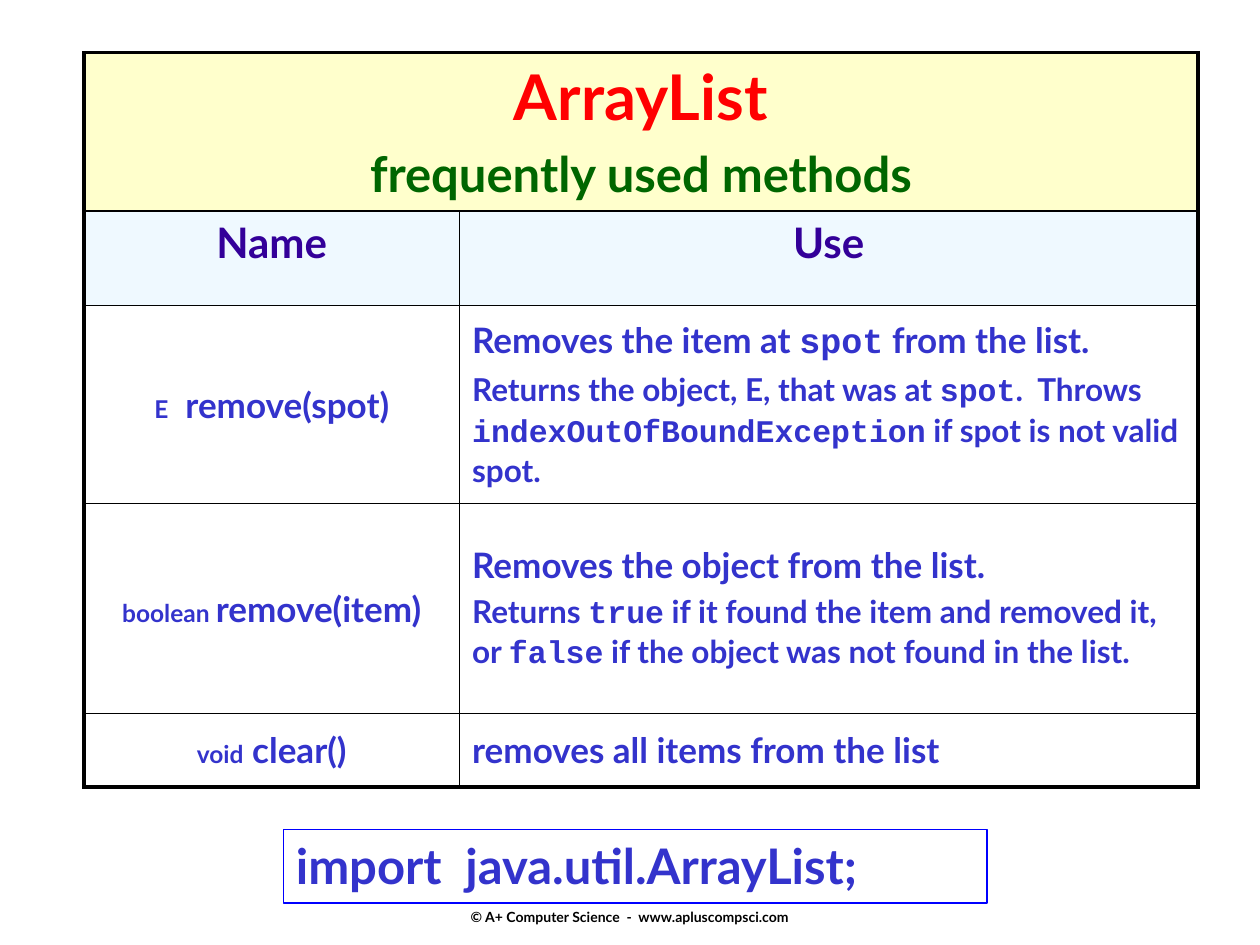
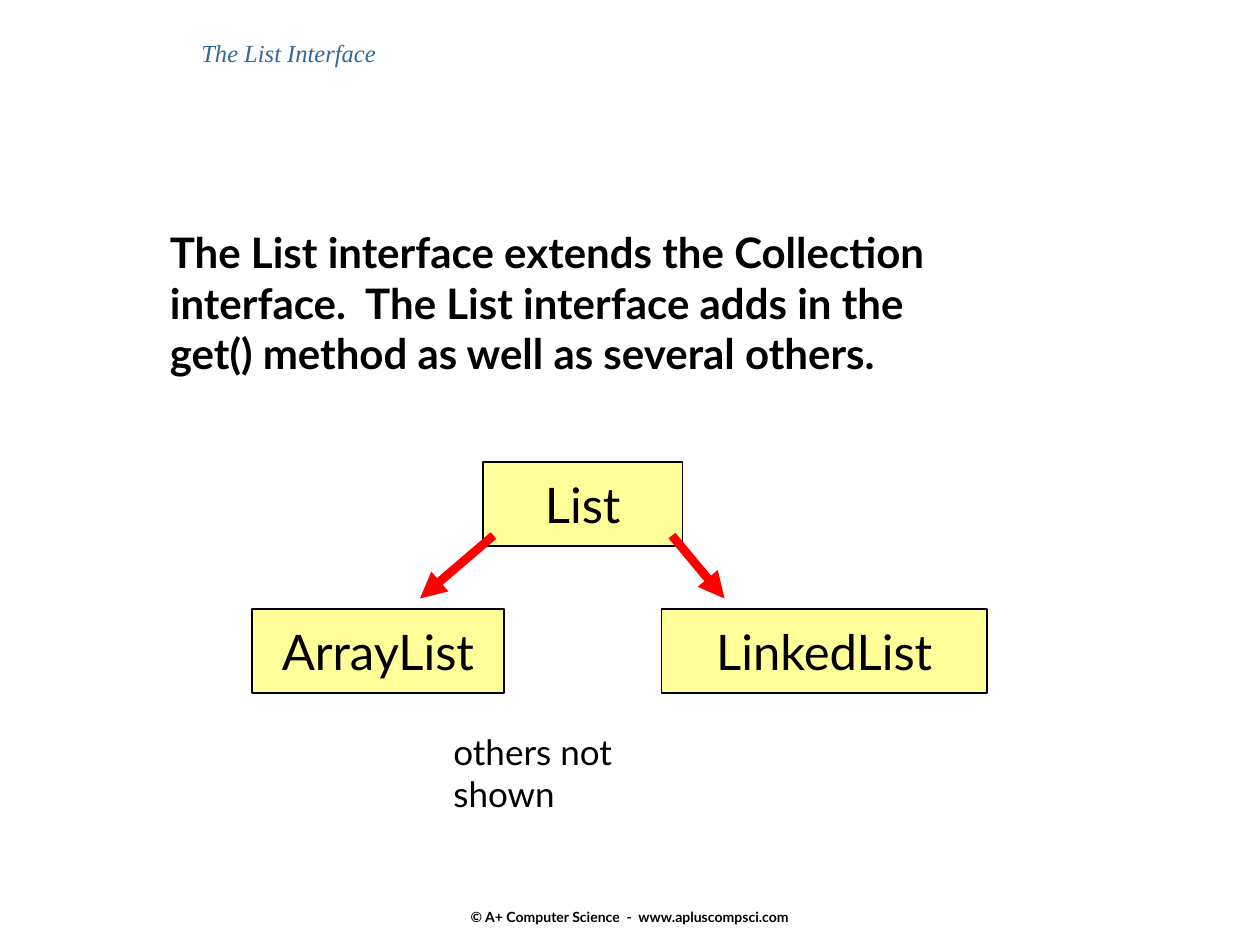
from dataclasses import dataclass, field
from lxml.etree import SubElement
from pptx import Presentation
from pptx.dml.color import RGBColor
from pptx.enum.shapes import MSO_CONNECTOR, MSO_SHAPE
from pptx.enum.text import MSO_ANCHOR, PP_ALIGN
from pptx.oxml.ns import qn
from pptx.util import Pt


def style(size, color, name="Lato", **more):
    return dict(size=Pt(size), color=color, name=name, **more)


@dataclass
class Theme:
    ink: str = "000000"
    arrow: str = "FF0000"
    box: str = "FFFF99"
    frame: str = "0000FF"
    banner: str = "FFFFCC"
    header: str = "E1F4FF"
    outer: float = 2.25
    inner: float = 1
    text: dict = field(default_factory=lambda: {
        "footer": style(8, "000000", bold=True),
        "title": style(14, "336699", "Times New Roman", italic=True),
        "body": style(24, "000000", bold=True),
        "node": style(28, "000000"),
        "note": style(20, "000000"),
        "import": style(28, "3333CC", bold=True),
        "banner": style(36, "FF0000", bold=True),
        "subtitle": style(28, "006600", bold=True),
        "heading": style(24, "330099", bold=True),
        "type": style(14, "3333CC", bold=True),
        "method": style(20, "3333CC", bold=True),
        "method code": style(20, "3333CC", "Courier New", bold=True),
        "detail": style(18, "3333CC", bold=True),
        "detail code": style(18, "3333CC", "Courier New", bold=True),
    })


THEME = Theme()
SIDES = {"L": "a:lnL", "R": "a:lnR", "T": "a:lnT", "B": "a:lnB"}

# A paragraph is a list of (text, style) spans.
FOOTER = [[("© A+ Computer Science  -  www.apluscompsci.com", "footer")]]
BANNER = [[("ArrayList", "banner")], [("frequently used methods", "subtitle")]]
HEADINGS = ["Name", "Use"]
METHODS = [
    ([("E", "type"), ("  remove(spot)", "method")],
     [[("Removes the item at ", "method"), ("spot", "method code"),
       (" from the list.", "method")],
      [("Returns the object, E, that was at ", "detail"), ("spot", "detail code"),
       (".  Throws ", "detail"), ("indexOutOfBoundException", "detail code"),
       (" if spot is not valid spot.", "detail")]]),
    ([("boolean ", "type"), ("remove(item)", "method")],
     [[("Removes the object from the list.", "method")],
      [("Returns ", "detail"), ("true", "detail code"),
       (" if it found the item and removed it, or ", "detail"),
       ("false", "detail code"),
       (" if the object was not found in the list.", "detail")]]),
    ([("void", "type"), (" clear()", "method")],
     [[("removes all items from the list", "method")]]),
]
COLUMN_WIDTHS = [214.6, 421.9]
ROW_HEIGHTS = [90.5, 54, 113.3, 120, 42]
IMPORT = [[("import  java.util.ArrayList;", "import")]]

TITLE = [[("The List Interface", "title")]]
SUMMARY = [[(line, "body")] for line in (
    "The List interface extends the Collection",
    "interface.  The List interface adds in the",
    "get() method as well as several others.")]
NODE_HEIGHT = 48
NODES = [("List", 276, 264, 114), ("ArrayList", 144, 348, 144),
         ("LinkedList", 378, 348, 186)]
ARROW_TOP, ARROW_BOTTOM = 306, 342
ARROWS = [(282, 240), (384, 414)]
NOTE = [[("others not shown", "note")]]


def write(frame, paragraphs, align=PP_ALIGN.LEFT, gap=0):
    for index, spans in enumerate(paragraphs):
        para = frame.add_paragraph() if index else frame.paragraphs[0]
        para.alignment = align
        if index and gap:
            para.space_before = Pt(gap)
        for text, kind in spans:
            span = para.add_run()
            span.text = text
            for key, value in THEME.text[kind].items():
                if key == "color":
                    span.font.color.rgb = RGBColor.from_string(value)
                else:
                    setattr(span.font, key, value)


def add_text(page, at, paragraphs, align=PP_ALIGN.LEFT, anchor=MSO_ANCHOR.TOP):
    frame = page.shapes.add_textbox(*map(Pt, at)).text_frame
    frame.word_wrap = True
    frame.vertical_anchor = anchor
    write(frame, paragraphs, align)


def add_box(page, at, paragraphs, line, width, fill=None,
            align=PP_ALIGN.CENTER, anchor=MSO_ANCHOR.MIDDLE):
    box = page.shapes.add_shape(MSO_SHAPE.RECTANGLE, *map(Pt, at))
    box.shadow.inherit = False
    paint(box.fill, fill)
    box.line.color.rgb = RGBColor.from_string(line)
    box.line.width = Pt(width)
    box.text_frame.vertical_anchor = anchor
    write(box.text_frame, paragraphs, align)


def paint(fill, color):
    if color:
        fill.solid()
        fill.fore_color.rgb = RGBColor.from_string(color)
    else:
        fill.background()


def add_arrow(page, start, end):
    arrow = page.shapes.add_connector(MSO_CONNECTOR.STRAIGHT, *map(Pt, start + end))
    arrow.line.color.rgb = RGBColor.from_string(THEME.arrow)
    arrow.line.width = Pt(5)
    SubElement(arrow.line._get_or_add_ln(), qn("a:tailEnd"), type="triangle")
    SubElement(arrow._element.spPr, qn("a:effectLst"))


def add_borders(cell, outer_sides):
    properties = cell._tc.get_or_add_tcPr()
    for side, tag in SIDES.items():
        width = THEME.outer if side in outer_sides else THEME.inner
        line = SubElement(properties, qn(tag), w=str(int(Pt(width))))
        solid = SubElement(line, qn("a:solidFill"))
        SubElement(solid, qn("a:srgbClr"), val=THEME.ink)


def set_opacity(cell, percent):
    color = cell._tc.tcPr.find(qn("a:solidFill")).find(qn("a:srgbClr"))
    SubElement(color, qn("a:alpha"), val=str(percent * 1000))


def add_method_table(page):
    size = sum(COLUMN_WIDTHS), sum(ROW_HEIGHTS)
    shape = page.shapes.add_table(len(ROW_HEIGHTS), len(COLUMN_WIDTHS),
                                  *map(Pt, (48, 30) + size))
    table = shape.table
    table.first_row = table.horz_banding = False
    for column, width in zip(table.columns, COLUMN_WIDTHS):
        column.width = Pt(width)
    for row, height in zip(table.rows, ROW_HEIGHTS):
        row.height = Pt(height)
    table.cell(0, 0).merge(table.cell(0, 1))

    headings = [[[(text, "heading")]] for text in HEADINGS]
    content = [[BANNER], headings] + [[[name], use] for name, use in METHODS]
    last_row = len(content) - 1
    for r, cells in enumerate(content):
        for c, paragraphs in enumerate(cells):
            cell = table.cell(r, c)
            outer = {"T": r == 0, "B": r == last_row, "L": c == 0,
                     "R": c == len(cells) - 1}
            add_borders(cell, [side for side in outer if outer[side]])
            paint(cell.fill, {0: THEME.banner, 1: THEME.header}.get(r))
            if r == 1:
                set_opacity(cell, 50)
            is_use = r > 1 and c == 1
            cell.vertical_anchor = MSO_ANCHOR.MIDDLE if r > 1 else MSO_ANCHOR.TOP
            write(cell.text_frame, paragraphs,
                  PP_ALIGN.LEFT if is_use else PP_ALIGN.CENTER,
                  3.6 if is_use else 5.6)


def add_page(deck):
    page = deck.slides.add_slide(deck.slide_layouts[6])
    add_text(page, (246, 514, 228, 20), FOOTER, PP_ALIGN.CENTER, MSO_ANCHOR.MIDDLE)
    return page


def build_methods_page(deck):
    page = add_page(deck)
    add_method_table(page)
    add_box(page, (162, 474, 402, 42), IMPORT, THEME.frame, 1,
            align=PP_ALIGN.LEFT, anchor=MSO_ANCHOR.TOP)


def build_interface_page(deck):
    page = add_page(deck)
    add_text(page, (90, 126, 500, 94), SUMMARY)
    add_text(page, (108, 18, 474, 48), TITLE)
    for name, left, top, width in NODES:
        add_box(page, (left, top, width, NODE_HEIGHT), [[(name, "node")]],
                THEME.ink, 0.75, THEME.box)
    for start, end in ARROWS:
        add_arrow(page, (start, ARROW_TOP), (end, ARROW_BOTTOM))
    add_text(page, (252, 414, 160, 55), NOTE)


def main():
    deck = Presentation()
    deck.slide_width, deck.slide_height = Pt(720), Pt(540)
    build_methods_page(deck)
    build_interface_page(deck)
    deck.save("out.pptx")


if __name__ == "__main__":
    main()
